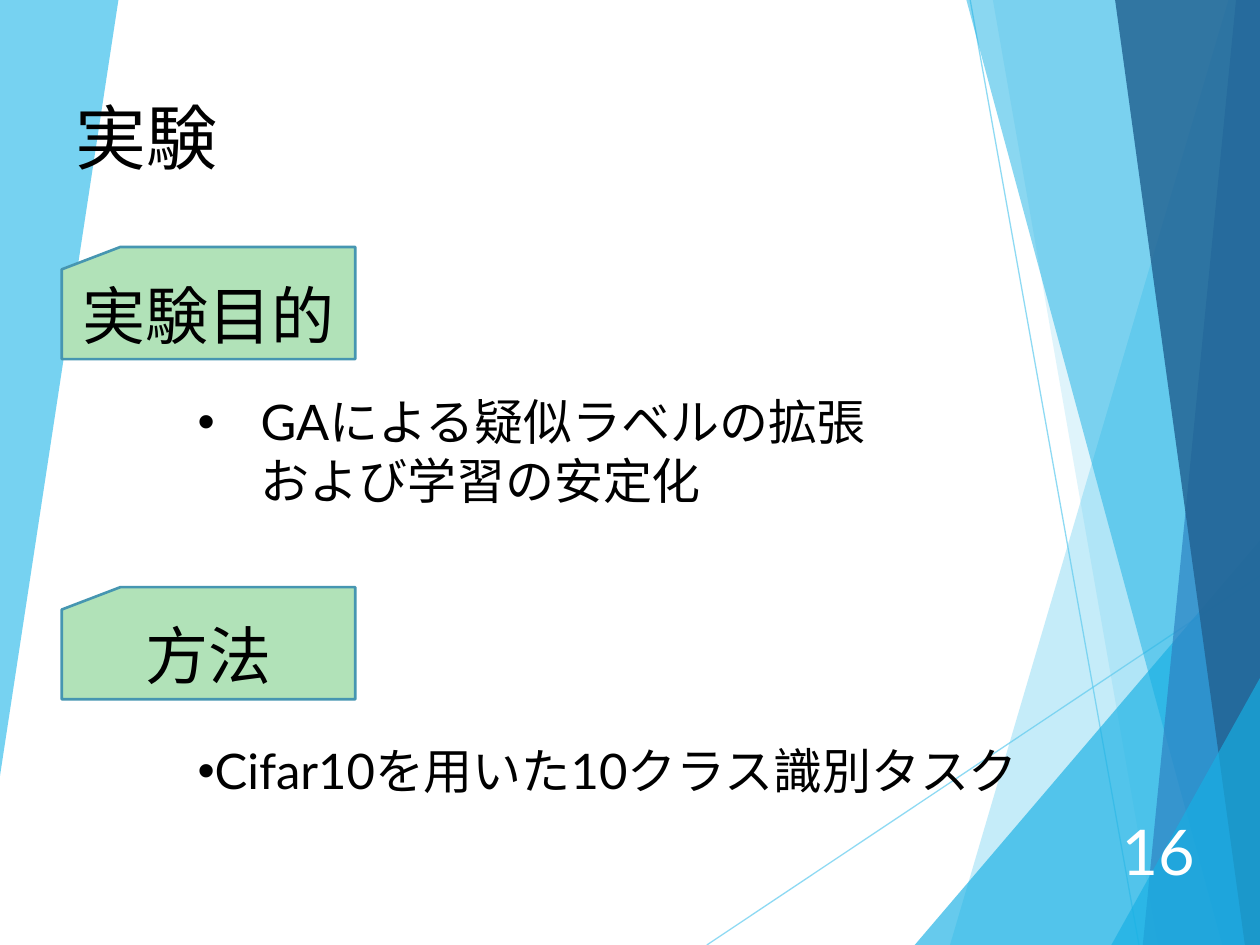
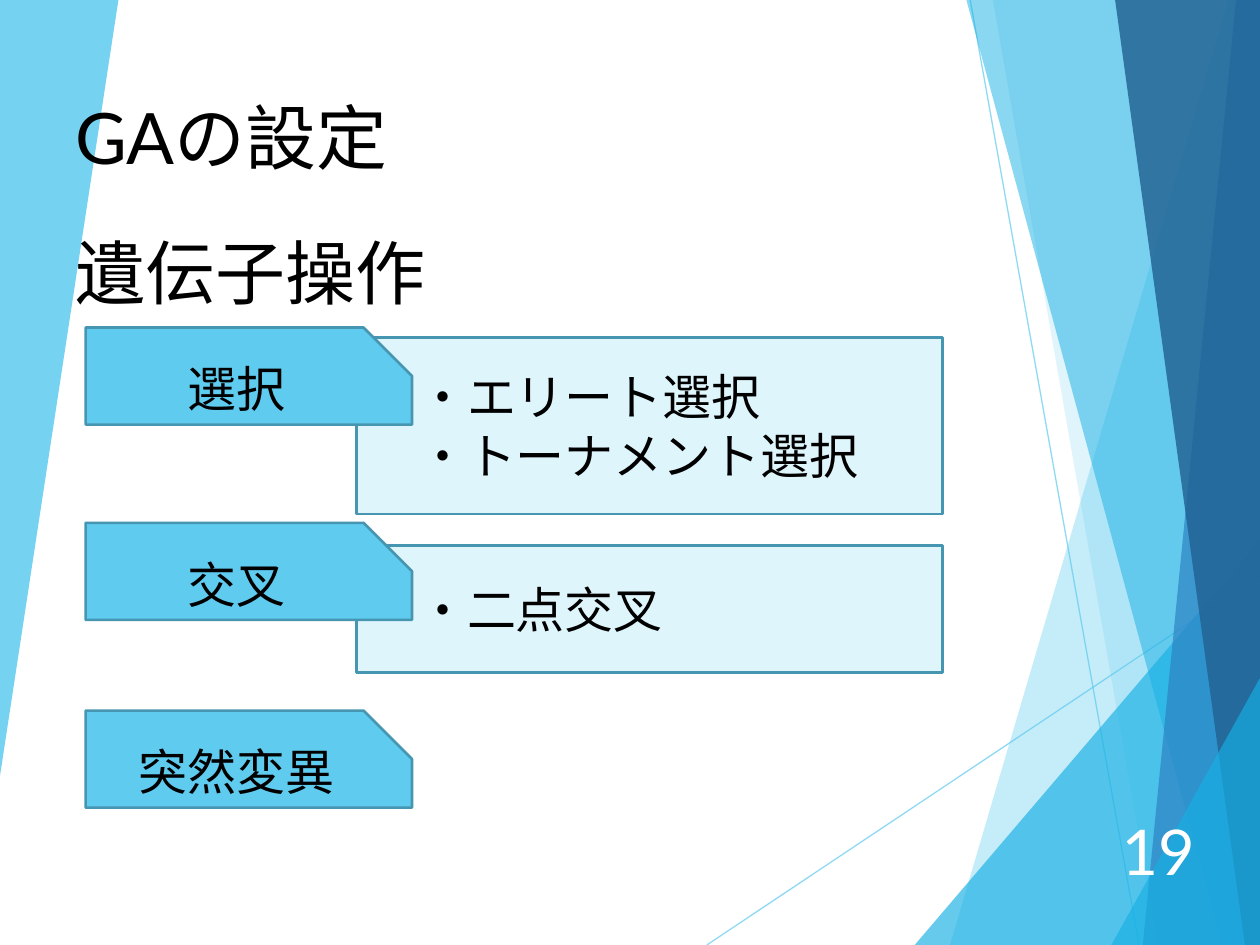
from lxml.etree import SubElement
from pptx import Presentation
from pptx.dml.color import RGBColor
from pptx.enum.shapes import MSO_CONNECTOR, MSO_SHAPE
from pptx.enum.text import MSO_ANCHOR, PP_ALIGN
from pptx.oxml.ns import qn
from pptx.util import Pt

PX = 9144  # EMU in one px, 100 px to the inch
WIDTH, HEIGHT = 1000, 750

BLACK = RGBColor(0x00, 0x00, 0x00)
WHITE = RGBColor(0xFF, 0xFF, 0xFF)
SKY = RGBColor(0x5F, 0xCB, 0xEF)
CYAN = RGBColor(0x17, 0xB0, 0xE4)
BLUE = RGBColor(0x2E, 0x83, 0xC3)
NAVY = RGBColor(0x22, 0x62, 0x92)
PALE_SKY = RGBColor(0xDF, 0xF5, 0xFC)
MINT = RGBColor(0xB1, 0xE2, 0xB8)
OUTLINE = RGBColor(0x46, 0x96, 0xB1)

FONT, DETAIL_FONT = "Lato", "Arial"
TITLE_SIZE, LABEL_SIZE, BODY_SIZE = 40.5, 36, 28

# Corners, colour and opacity in percent, from back to front
FACETS = [
    ([(975, 0), (754, 750), (1000, 750), (1000, 0)], SKY, 36),
    ([(788, 0), (919, 750), (1000, 750), (1000, 0)], SKY, 20),
    ([(726, 750), (1000, 429), (1000, 750)], CYAN, 66),
    ([(767, 0), (970, 750), (1000, 750), (1000, 0)], CYAN, 50),
    ([(981, 0), (907, 750), (1000, 750), (1000, 0)], BLUE, 70),
    ([(885, 0), (988, 750), (1000, 750), (1000, 0)], NAVY, 82),
    ([(882, 750), (1000, 538), (1000, 750)], CYAN, 66),
    ([(0, 0), (94, 0), (0, 616)], SKY, 85),
]
RAYS = [(561, 750, 1000, 457), (770, 0, 904, 750)]


def emu(*lengths):
    return [length * PX for length in lengths]


def set_opacity(fill, percent):
    color = fill._xPr.find(f"{qn('a:solidFill')}/{qn('a:srgbClr')}")
    SubElement(color, qn("a:alpha")).set("val", str(percent * 1000))


def set_indent(para, left, first=0, bullet=False):
    """Set the left margin and first-line offset in px, with an optional bullet."""
    properties = para._p.get_or_add_pPr()
    properties.set("marL", str(left * PX))
    properties.set("indent", str(first * PX))
    if bullet:
        SubElement(properties, qn("a:buFont")).set("typeface", "Arial")
        SubElement(properties, qn("a:buChar")).set("char", "•")


def write(shape, text, size, color=BLACK, align=PP_ALIGN.LEFT,
          anchor=MSO_ANCHOR.TOP, font=FONT):
    frame = shape.text_frame
    frame.word_wrap = True
    frame.vertical_anchor = anchor
    frame.text = text
    for para in frame.paragraphs:
        para.alignment = align
        for span in para.runs:
            span.font.size = Pt(size)
            span.font.name = font
            span.font.color.rgb = color
    return frame.paragraphs


def add_text(page, box, text, size=BODY_SIZE, **style):
    return write(page.shapes.add_textbox(*emu(*box)), text, size, **style)


def add_panel(page, kind, box, fill, text, size, **style):
    panel = page.shapes.add_shape(kind, *emu(*box))
    panel.shadow.inherit = False
    panel.fill.solid()
    panel.fill.fore_color.rgb = fill
    panel.line.color.rgb = OUTLINE
    panel.line.width = Pt(1.5)
    if kind == MSO_SHAPE.SNIP_1_RECTANGLE:
        panel.adjustments[0] = 0.5
    return write(panel, text, size, anchor=MSO_ANCHOR.MIDDLE, **style)


def draw_backdrop(page):
    for ends in RAYS:
        ray = page.shapes.add_connector(MSO_CONNECTOR.STRAIGHT, *emu(*ends))
        ray.line.color.rgb = SKY
        ray.line.width = Pt(0.75)
        set_opacity(ray.line.fill, 70)
        SubElement(ray._element.spPr, qn("a:effectLst"))
    for corners, color, opacity in FACETS:
        builder = page.shapes.build_freeform(*corners[0], scale=PX)
        builder.add_line_segments(corners[1:], close=True)
        facet = builder.convert_to_shape()
        facet.shadow.inherit = False
        facet.line.fill.background()
        facet.fill.solid()
        facet.fill.fore_color.rgb = color
        set_opacity(facet.fill, opacity)


def add_page(deck, title, number):
    page = deck.slides.add_slide(deck.slide_layouts[6])
    draw_backdrop(page)
    add_text(page, (874, 648, 84, 53), str(number), LABEL_SIZE, color=WHITE,
             align=PP_ALIGN.RIGHT, anchor=MSO_ANCHOR.MIDDLE)
    add_text(page, (50, 69, 381, 78), title, TITLE_SIZE)
    return page


def add_experiment_section(page, left, top, label):
    add_panel(page, MSO_SHAPE.FLOWCHART_CARD, (left, top, 233, 89), MINT,
              label, LABEL_SIZE, align=PP_ALIGN.CENTER)


def build_experiment(deck):
    page = add_page(deck, "実験", 16)
    left = 49
    add_experiment_section(page, left, 196, "実験目的")
    goal, goal_rest = add_text(page, (left + 98, 306, 853, 104),
                               "GAによる疑似ラベルの拡張\nおよび学習の安定化")
    set_indent(goal, 50, -50, bullet=True)
    set_indent(goal_rest, 50)

    add_experiment_section(page, left, 466, "方法")
    method, = add_text(page, (left + 98, 583, 679, 104),
                       "Cifar10を用いた10クラス識別タスク")
    set_indent(method, 0, bullet=True)


def add_operation(page, left, top, name, details="", offset=0, height=0):
    """Place a tab and, behind it, a detail panel that starts offset px lower."""
    if details:
        paras = add_panel(page, MSO_SHAPE.RECTANGLE,
                          (left + 215, top + offset, 465, height), PALE_SKY,
                          details, BODY_SIZE, font=DETAIL_FONT)
        for para in paras:
            set_indent(para, 39)
    add_panel(page, MSO_SHAPE.SNIP_1_RECTANGLE, (left, top, 259, 77), SKY,
              name, BODY_SIZE, align=PP_ALIGN.CENTER)


def build_ga_settings(deck):
    page = add_page(deck, "GAの設定", 19)
    add_text(page, (50, 177, 771, 77), "遺伝子操作", 40)
    left = 68
    add_operation(page, left, 260, "選択", "・エリート選択\n・トーナメント選択", 8, 140)
    add_operation(page, left, 415, "交叉", "・二点交叉", 18, 101)
    add_operation(page, left, 564, "突然変異")


def main():
    deck = Presentation()
    deck.slide_width, deck.slide_height = emu(WIDTH, HEIGHT)
    build_experiment(deck)
    build_ga_settings(deck)
    deck.save("out.pptx")


if __name__ == "__main__":
    main()
